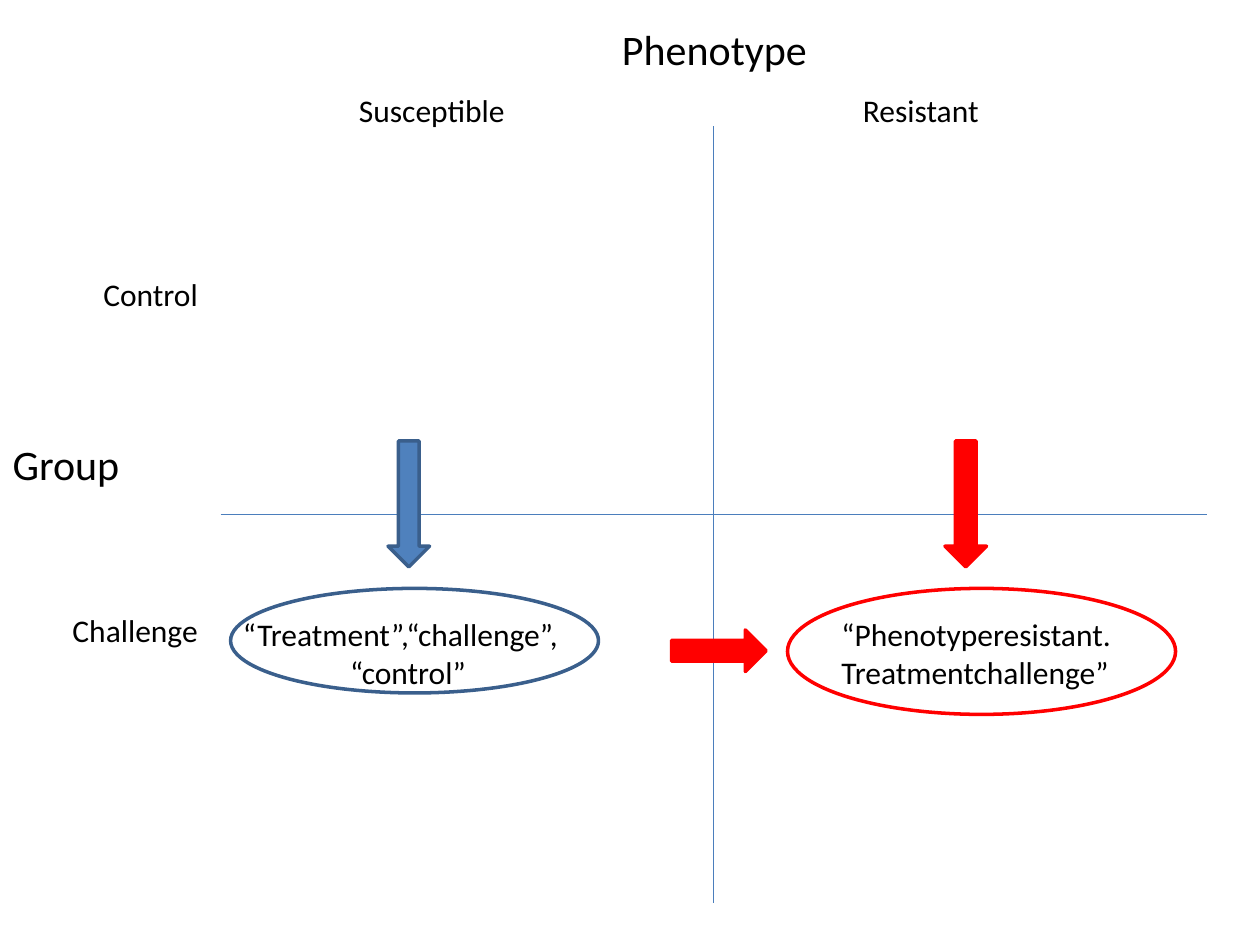
from lxml import etree
from pptx import Presentation
from pptx.dml.color import RGBColor
from pptx.enum import shapes, text
from pptx.oxml.ns import qn
from pptx.util import Inches, Pt

BLACK, WHITE, RED = "000000", "FFFFFF", "FF0000"
BLUE, NAVY, AXIS = "4F81BD", "3A5F8C", "4B7EBC"
LEFT, RIGHT, CENTER = text.PP_ALIGN.LEFT, text.PP_ALIGN.RIGHT, text.PP_ALIGN.CENTER
KIND = shapes.MSO_SHAPE

TITLE = "Phenotype"
ROWS = [("Control", 18, RIGHT, 0), ("Group", 24, LEFT, 72), ("Challenge", 18, RIGHT, 70)]
HEADINGS = "\tSusceptible\tResistant"
HEADING_STOPS = [1, 5]
RESISTANT = ["“Phenotyperesistant.", "Treatmentchallenge”"]
TREATMENT = ["“Treatment”,“challenge”,", "“control”"]
GRID = (1.75, 1, 7.83, 6.17)
AXES = [(0, 2), (1, 3)]


def color(value):
    return RGBColor.from_string(value)


def place(part, box):
    part.left, part.top, part.width, part.height = map(Inches, box)


def style(paragraph, size):
    for run in paragraph.runs:
        run.font.size = Pt(size)
        run.font.name = "Calibri"
        run.font.color.rgb = color(BLACK)


def add_figure(slide, kind, box, fill, line):
    figure = slide.shapes.add_shape(kind, *map(Inches, box))
    figure.shadow.inherit = False
    if fill:
        figure.fill.solid()
        figure.fill.fore_color.rgb = color(fill)
    else:
        figure.fill.background()
    figure.line.color.rgb = color(line)
    figure.line.width = Pt(2)
    return figure


def add_label(slide, lines, box):
    label = slide.shapes.add_textbox(*map(Inches, box))
    label.text_frame.word_wrap = True
    label.text_frame.text = "\n".join(lines)
    for paragraph in label.text_frame.paragraphs:
        style(paragraph, 18)
    return label.text_frame.paragraphs


def add_axis(slide, grid, start, end):
    axis = slide.shapes.add_connector(shapes.MSO_CONNECTOR.STRAIGHT, 0, 0, 0, 0)
    axis.begin_connect(grid, start)
    axis.end_connect(grid, end)
    axis.line.color.rgb = color(AXIS)
    axis.line.width = Pt(0.75)
    etree.SubElement(axis._element.spPr, qn("a:effectLst"))


def fill_title(title):
    place(title, (1.67, 0, 8, 0.78))
    title.text_frame.text = TITLE
    title.text_frame.vertical_anchor = text.MSO_ANCHOR.MIDDLE
    title.text_frame.paragraphs[0].alignment = CENTER
    style(title.text_frame.paragraphs[0], 24)


def fill_rows(body):
    place(body, (0, 2.13, 1.67, 4.49))
    body.text_frame.text = "\n".join(row[0] for row in ROWS)
    body.text_frame.auto_size = text.MSO_AUTO_SIZE.NONE
    for paragraph, (_, size, align, gap) in zip(body.text_frame.paragraphs, ROWS):
        paragraph.alignment = align
        paragraph.space_before = Pt(gap)
        properties = paragraph._p.get_or_add_pPr()
        properties.set("marL", "0")
        properties.set("indent", "0")
        etree.SubElement(properties, qn("a:buNone"))
        style(paragraph, size)


def main():
    deck = Presentation()
    deck.slide_width, deck.slide_height = Inches(10), Inches(7.5)
    slide = deck.slides.add_slide(deck.slide_layouts[1])
    fill_title(slide.shapes.title)
    fill_rows(slide.placeholders[1])

    grid = add_figure(slide, KIND.RECTANGLE, GRID, WHITE, WHITE)
    headings = add_label(slide, [HEADINGS], (1.75, 0.67, 7.92, 0.4))[0]
    stops = etree.SubElement(headings._p.get_or_add_pPr(), qn("a:tabLst"))
    for stop in HEADING_STOPS:
        etree.SubElement(stops, qn("a:tab"), pos=str(Inches(stop)), algn="l")
    for start, end in AXES:
        add_axis(slide, grid, start, end)

    add_figure(slide, KIND.OVAL, (1.83, 4.67, 2.92, 0.83), WHITE, NAVY)
    add_figure(slide, KIND.DOWN_ARROW, (3.08, 3.5, 0.33, 1), BLUE, NAVY)
    add_label(slide, RESISTANT, (6.58, 4.83, 3.25, 0.71))
    add_figure(slide, KIND.OVAL, (6.25, 4.67, 3.08, 1), None, RED)
    add_figure(slide, KIND.RIGHT_ARROW, (5.33, 5, 0.75, 0.33), RED, RED)
    add_figure(slide, KIND.DOWN_ARROW, (7.5, 3.5, 0.33, 1), RED, RED)
    control = add_label(slide, TREATMENT, (1.83, 4.83, 3.08, 0.71))[1]
    control._p.get_or_add_pPr().set("marL", str(Inches(0.85)))

    deck.save("out.pptx")


if __name__ == "__main__":
    main()
